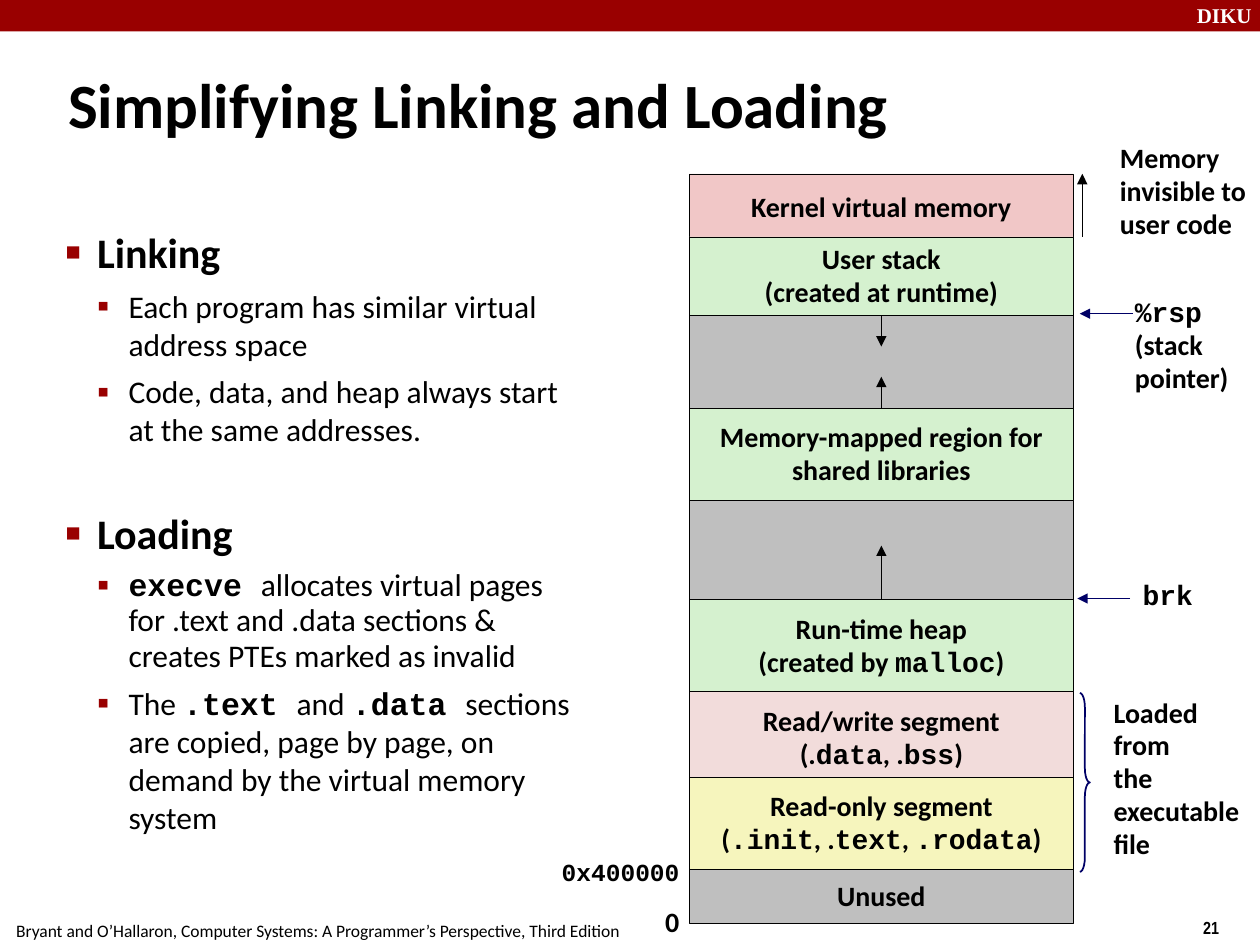
from lxml.etree import SubElement
from pptx import Presentation
from pptx.dml.color import RGBColor
from pptx.enum.shapes import MSO_CONNECTOR, MSO_SHAPE
from pptx.enum.text import MSO_ANCHOR, MSO_AUTO_SIZE, PP_ALIGN
from pptx.oxml.ns import qn
from pptx.util import Inches, Pt

HUES = {
    "black": "000000", "white": "FFFFFF", "red": "990000", "navy": "000066",
    "pink": "F1C7C7", "green": "D5F1CF", "gray": "BFBFBF",
    "rose": "F2DCDB", "cream": "F6F5BD",
}
TITLE = "Simplifying Linking and Loading"
HEAD = dict(size=24, bold=True, bullet="■", scale=60, left=0.25)
ITEM = dict(size=18, bold=False, bullet="▪", scale=110, left=0.5, before=5.6)
BODY = [
    ("Linking", HEAD),
    ("Each program has similar virtual address space", ITEM),
    ("Code, data, and heap always start at the same addresses.", ITEM),
    ("Loading", HEAD | dict(before=34)),
    ("`execve `allocates virtual pages for .text and .data sections & "
     "creates PTEs marked as invalid", ITEM | dict(space=0.94)),
    ("The `.text `and `.data `sections are copied, page by page, on demand "
     "by the virtual memory system", ITEM),
]
LEFT, WIDE = 5.47, 3.05
BLOCKS = [
    ("kernel", "Kernel virtual memory", 1.38, 0.53, "pink"),
    ("upper gap", "", 2.25, 0.99, "gray"),
    ("stack", "User stack\n(created at runtime)", 1.88, 0.62, "green"),
    ("shared", "Memory-mapped region for\nshared libraries", 3.24, 0.73, "green"),
    ("lower gap", "", 3.97, 0.79, "gray"),
    ("heap", "Run-time heap\n(created by `malloc`)", 4.76, 0.73, "green"),
    ("data", "Read/write segment\n(.`data`, .`bss`)", 5.49, 0.73, "rose"),
    ("code", "Read-only segment\n(`.init`, .`text`, `.rodata`)", 6.17, 0.73, "cream"),
    ("unused", "Unused", 6.9, 0.43, "gray"),
]
GROWTH = [("stack", 2, 2.5, 2.75), ("shared", 0, 3.24, 2.99), ("heap", 0, 4.76, 4.33)]
ARROWS = [
    (8.59, 1.88, 8.59, 1.38, "black"),
    (8.99, 2.49, 8.57, 2.49, "navy"),
    (8.97, 4.75, 8.55, 4.75, "navy"),
]
NOTES = [
    ("Memory\ninvisible to\nuser code", (8.79, 1.08, 1.2, 0.89), {}),
    ("`%rsp`\n(stack\npointer)", (8.91, 2.31, 0.94, 0.89), {}),
    ("`brk`", (8.97, 4.56, 0.6, 0.37), {}),
    ("Loaded\nfrom\nthe\nexecutable\nfile", (8.74, 5.48, 1.25, 1.41), {}),
    ("`0x400000`", (4.36, 6.77, 1.2, 0.34), dict(size=14)),
    ("0", (5.18, 7.14, 0.31, 0.37), {}),
    ("DIKU", (9.4, -0.03, 0.67, 0.3),
     dict(size=12, face="Times New Roman", hue="white", space=1)),
    ("21", (9.45, 7.23, 0.75, 0.29), dict(size=10, face="Arial Narrow", space=1)),
    ("Bryant and O’Hallaron, Computer Systems: A Programmer’s Perspective, "
     "Third Edition", (0.03, 7.25, 4.99, 0.27), dict(size=10, bold=False, space=1)),
]


def color(name):
    return RGBColor.from_string(HUES[name])


def place(shape, box):
    shape.left, shape.top, shape.width, shape.height = map(Inches, box)


def write(frame, text, size=16, face="Calibri", bold=True, hue="black",
          align=PP_ALIGN.LEFT, space=0.98, before=0, left=0, hang=0.25,
          bullet=None, scale=100):
    """Add one paragraph per line, with backticks around monospaced words."""
    for line in text.split("\n"):
        first = frame.paragraphs[0]
        par = frame.add_paragraph() if first.runs else first
        props = par._p.get_or_add_pPr()
        if left:
            props.set("marL", str(Inches(left)))
            props.set("indent", str(-Inches(hang)))
        if bullet:
            par.level = int(left / hang) - 1
            tint = SubElement(props, qn("a:buClr"))
            SubElement(tint, qn("a:srgbClr"), val=HUES["red"])
            SubElement(props, qn("a:buSzPct"), val=str(scale * 1000))
            SubElement(props, qn("a:buChar"), char=bullet)
        par.alignment = align
        code = line.startswith("`") and line.endswith("`")
        par.line_spacing = 0.94 if code else space
        par.space_before = Pt(before)
        for index, part in enumerate(line.split("`")):
            if part:
                mono = index % 2 == 1
                run = par.add_run()
                run.text = part
                run.font.name = "Courier New" if mono else face
                run.font.size = Pt(size)
                run.font.bold = bold or mono
                run.font.color.rgb = color(hue)


def shade(shapes, kind, box, fill=None, line=None, width=0.25):
    shape = shapes.add_shape(kind, *map(Inches, box))
    shape.shadow.inherit = False
    if fill:
        shape.fill.solid()
        shape.fill.fore_color.rgb = color(fill)
    else:
        shape.fill.background()
    if line:
        shape.line.color.rgb = color(line)
        shape.line.width = Pt(width)
    else:
        shape.line.fill.background()
    return shape


def arrow(shapes, ends, hue):
    link = shapes.add_connector(MSO_CONNECTOR.STRAIGHT, *map(Inches, ends))
    link.line.color.rgb = color(hue)
    link.line.width = Pt(0.25)
    SubElement(link.line._get_or_add_ln(), qn("a:tailEnd"), type="triangle")
    SubElement(link._element.spPr, qn("a:effectLst"))
    return link


def main():
    deck = Presentation()
    deck.slide_width, deck.slide_height = Inches(10), Inches(7.5)
    slide = deck.slides.add_slide(deck.slide_layouts[1])
    shapes = slide.shapes
    title, body = slide.placeholders

    place(title, (0.44, 0.39, 9.06, 0.86))
    title.text_frame.vertical_anchor = MSO_ANCHOR.MIDDLE
    write(title.text_frame, TITLE, size=36, left=0.13, hang=0.13, space=1)
    place(body, (0.42, 1.75, 4.33, 5.23))
    for text, form in BODY:
        write(body.text_frame, text, **(dict(space=1) | form))
    for holder in (title, body):
        holder.text_frame.auto_size = MSO_AUTO_SIZE.NONE

    shade(shapes, MSO_SHAPE.RECTANGLE, (0, 0, 10, 0.25), "red")
    blocks = {}
    for name, text, top, high, hue in BLOCKS:
        block = shade(shapes, MSO_SHAPE.RECTANGLE, (LEFT, top, WIDE, high), hue, "black")
        blocks[name] = block
        if text:
            block.text_frame.word_wrap = False
            block.text_frame.vertical_anchor = MSO_ANCHOR.MIDDLE
            write(block.text_frame, text, align=PP_ALIGN.CENTER)

    mid = LEFT + WIDE / 2
    for name, side, start, end in GROWTH:
        link = arrow(shapes, (mid, start, mid, end), "black")
        link.begin_connect(blocks[name], side)
    for *ends, hue in ARROWS:
        arrow(shapes, ends, hue)

    brace = shade(shapes, MSO_SHAPE.RIGHT_BRACE, (8.57, 5.5, 0.08, 1.42),
                  line="navy", width=1)
    brace.adjustments[0] = 1.42

    for text, box, form in NOTES:
        note = shapes.add_textbox(*map(Inches, box))
        note.text_frame.word_wrap = False
        write(note.text_frame, text, **form)
    deck.save("out.pptx")


if __name__ == "__main__":
    main()
